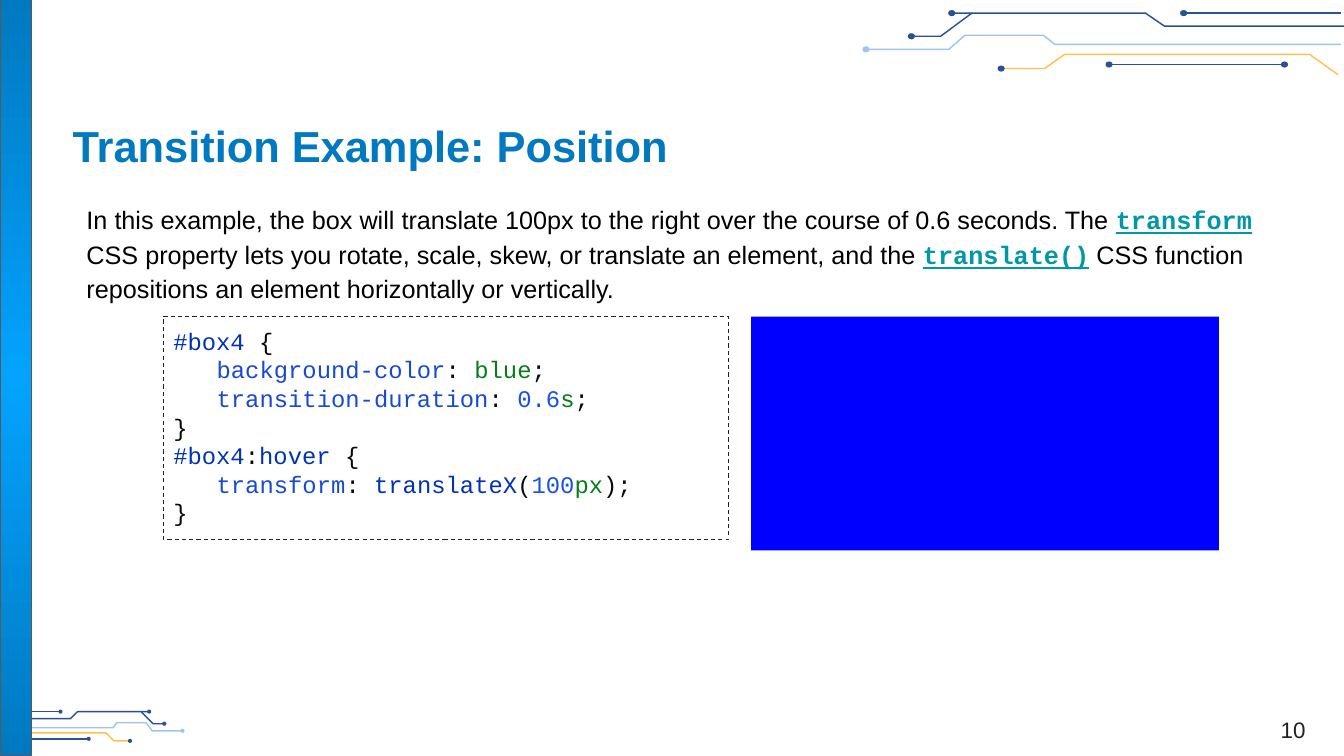
from dataclasses import dataclass

from lxml.etree import SubElement
from pptx import Presentation
from pptx.dml.color import RGBColor
from pptx.enum.dml import MSO_LINE
from pptx.enum.shapes import MSO_CONNECTOR, MSO_SHAPE
from pptx.enum.text import MSO_ANCHOR, PP_ALIGN
from pptx.oxml.ns import qn
from pptx.util import Inches, Pt

COLORS = {
    "title": "0079C0", "glow": "03A3FF", "edge": "595959",
    "navy": "285293", "sky": "9FC5E8", "gold": "FEC14F",
    "box": "0000FF", "dash": "212121",
    "text": "000000", "page": "222222", "link": "0097A7",
    "name": "0033B3", "mark": "080808", "prop": "174AD4",
    "value": "067D17", "number": "1750EB",
}
SANS, MONO = "Arial", "Courier New"
INDENT = 0.43
BOX_SIDE = 2.32


@dataclass
class Trace:
    """A circuit line, with dots of its dot colour at the listed points."""
    color: str
    points: list[tuple[float, float]]
    dots: tuple[int, ...] = (-1,)
    dot_color: str = "navy"


@dataclass
class Circuit:
    dot_width: float
    dot_height: float
    traces: list[Trace]


CIRCUITS = [
    Circuit(0.03, 0.03, [
        Trace("navy", [(0.04, 7.13), (0.7, 7.13), (0.77, 7.06), (1.48, 7.06)]),
        Trace("navy", [(1.4, 7.06), (1.52, 7.18), (1.63, 7.18)]),
        Trace("navy", [(0, 7.06), (0.6, 7.06)]),
        Trace("gold", [(0.01, 7.38), (0.12, 7.27), (1.05, 7.27), (1.13, 7.35),
                       (1.29, 7.35)]),
        Trace("navy", [(0.21, 7.33), (0.88, 7.33)], (0, -1)),
        Trace("sky", [(0.08, 7.22), (1.12, 7.22), (1.16, 7.17), (1.45, 7.17),
                      (1.51, 7.25), (1.81, 7.25)], dot_color="sky"),
    ]),
    Circuit(0.06, 0.05, [
        Trace("navy", [(13.33, 0.26), (11.55, 0.26), (11.36, 0.13), (9.44, 0.13)]),
        Trace("navy", [(9.64, 0.13), (9.33, 0.36), (9.04, 0.36)]),
        Trace("navy", [(13.3, 0.13), (11.74, 0.13)]),
        Trace("gold", [(13.27, 0.74), (12.99, 0.54), (10.56, 0.54), (10.36, 0.68),
                       (9.93, 0.68)]),
        Trace("navy", [(12.74, 0.64), (11, 0.64)], (0, -1)),
        Trace("sky", [(13.3, 0.44), (10.46, 0.44), (10.35, 0.35), (9.57, 0.35),
                      (9.41, 0.49), (8.59, 0.49)], dot_color="sky"),
    ]),
]

# Each line: indent level, then (text, colour) pieces
CODE = [
    (0, [("#box4 ", "name"), ("{", "mark")]),
    (1, [("background-color", "prop"), (": ", "mark"), ("blue", "value"), (";", "mark")]),
    (1, [("transition-duration", "prop"), (": ", "mark"), ("0.6", "number"),
         ("s", "value"), (";", "mark")]),
    (0, [("}", "mark")]),
    (0, [("#box4", "name"), (":", "mark"), ("hover ", "name"), ("{", "mark")]),
    (1, [("transform", "prop"), (": ", "mark"), ("translateX", "name"), ("(", "mark"),
         ("100", "number"), ("px", "value"), (");", "mark")]),
    (0, [("}", "mark")]),
]

INTRO = [
    ("In this example, the box will translate 100px to the right over the course of "
     "0.6 seconds. The ", False),
    ("transform", True),
    (" CSS property lets you rotate, scale, skew, or translate an element, and the ", False),
    ("translate()", True),
    (" CSS function repositions an element horizontally or vertically.", False),
]


def rgb(name: str) -> RGBColor:
    return RGBColor.from_string(COLORS[name])


def add_run(par, text: str, *, size: float, color: str, font: str = SANS,
            bold: bool = False, underline: bool = False) -> None:
    run = par.add_run()
    run.text = text
    run.font.name = font
    run.font.size = Pt(size)
    run.font.bold = bold
    run.font.underline = underline
    run.font.color.rgb = rgb(color)


def set_frame(shape, anchor: MSO_ANCHOR, inset: float = 0.1):
    frame = shape.text_frame
    frame.word_wrap = True
    frame.vertical_anchor = anchor
    frame.margin_left = frame.margin_right = Inches(0.1)
    frame.margin_top = frame.margin_bottom = Inches(inset)
    return frame


def add_shape(shapes, kind: MSO_SHAPE, left: float, top: float, width: float,
              height: float, fill: str | None = None):
    shape = shapes.add_shape(kind, Inches(left), Inches(top), Inches(width), Inches(height))
    shape.shadow.inherit = False
    shape.line.fill.background()
    if fill:
        shape.fill.solid()
        shape.fill.fore_color.rgb = rgb(fill)
    else:
        shape.fill.background()
    return shape


def add_trace(shapes, trace: Trace) -> None:
    points = [(Inches(x), Inches(y)) for x, y in trace.points]
    if len(points) == 2:
        line = shapes.add_connector(MSO_CONNECTOR.STRAIGHT, *points[0], *points[1])
        SubElement(line._element.spPr, qn("a:effectLst"))
    else:
        pen = shapes.build_freeform(*points[0])
        pen.add_line_segments(points[1:], close=False)
        line = pen.convert_to_shape()
        line.shadow.inherit = False
        line.fill.background()
    line.line.color.rgb = rgb(trace.color)
    line.line.width = Pt(1.03)


def add_circuit(shapes, circuit: Circuit) -> None:
    wide, high = circuit.dot_width, circuit.dot_height
    for trace in circuit.traces:
        add_trace(shapes, trace)
        for spot in trace.dots:
            x, y = trace.points[spot]
            dot = add_shape(shapes, MSO_SHAPE.OVAL, x - wide / 2, y - high / 2,
                            wide, high, trace.dot_color)
            dot.line.color.rgb = rgb(trace.dot_color)
            dot.line.width = Pt(0.75)


def add_bar(shapes) -> None:
    """Draw the left bar with a glow spreading from its centre."""
    bar = add_shape(shapes, MSO_SHAPE.RECTANGLE, 0, 0, 0.31, 7.5)
    bar.line.color.rgb = rgb("edge")
    bar.line.width = Pt(0.75)
    bar.fill.gradient()
    for stop, color in zip(bar.fill.gradient_stops, ("glow", "title")):
        stop.color.rgb = rgb(color)
    grad = bar._element.spPr.find(qn("a:gradFill"))
    grad.remove(grad.find(qn("a:lin")))
    glow = SubElement(grad, qn("a:path"), {"path": "circle"})
    SubElement(glow, qn("a:fillToRect"), dict.fromkeys("ltrb", "50000"))


def add_code(shapes) -> None:
    panel = add_shape(shapes, MSO_SHAPE.RECTANGLE, 1.62, 3.14, 5.61, 2.21)
    panel.line.color.rgb = rgb("dash")
    panel.line.width = Pt(0.75)
    panel.line.dash_style = MSO_LINE.DASH
    frame = set_frame(panel, MSO_ANCHOR.TOP)
    for row, (level, pieces) in enumerate(CODE):
        par = frame.add_paragraph() if row else frame.paragraphs[0]
        par.alignment = PP_ALIGN.LEFT
        par._p.get_or_add_pPr().set("marL", str(Inches(level * INDENT)))
        for text, color in pieces:
            add_run(par, text, size=17, color=color, font=MONO)


def add_box(shapes, left: float, top: float, width: float, height: float):
    return shapes.add_textbox(Inches(left), Inches(top), Inches(width), Inches(height))


def main() -> None:
    deck = Presentation()
    deck.slide_width, deck.slide_height = Inches(13.33), Inches(7.5)
    slide = deck.slides.add_slide(deck.slide_layouts[5])
    shapes = slide.shapes

    for circuit in CIRCUITS:
        add_circuit(shapes, circuit)
    add_bar(shapes)

    title = shapes.title
    title.left, title.top = Inches(0.62), Inches(1.06)
    title.width, title.height = Inches(11.84), Inches(0.77)
    par = set_frame(title, MSO_ANCHOR.MIDDLE).paragraphs[0]
    par.alignment = PP_ALIGN.LEFT
    add_run(par, "Transition Example: Position", size=31, color="title", bold=True)

    page = add_box(shapes, 12.4, 6.83, 0.85, 0.59)
    par = set_frame(page, MSO_ANCHOR.BOTTOM, 0.05).paragraphs[0]
    par.alignment = PP_ALIGN.CENTER
    add_run(par, "10", size=16, color="page")

    add_code(shapes)

    intro = add_box(shapes, 0.76, 1.88, 11.94, 1.26)
    par = set_frame(intro, MSO_ANCHOR.TOP).paragraphs[0]
    par.line_spacing = 1.15
    par.space_after = Pt(10)
    for text, is_term in INTRO:
        add_run(par, text, size=18, color="link" if is_term else "text",
                font=MONO if is_term else SANS, bold=is_term, underline=is_term)

    for column in range(2):
        add_shape(shapes, MSO_SHAPE.RECTANGLE, 7.45 + column * BOX_SIDE, 3.14,
                  BOX_SIDE, BOX_SIDE, "box")

    deck.save("out.pptx")


if __name__ == "__main__":
    main()
